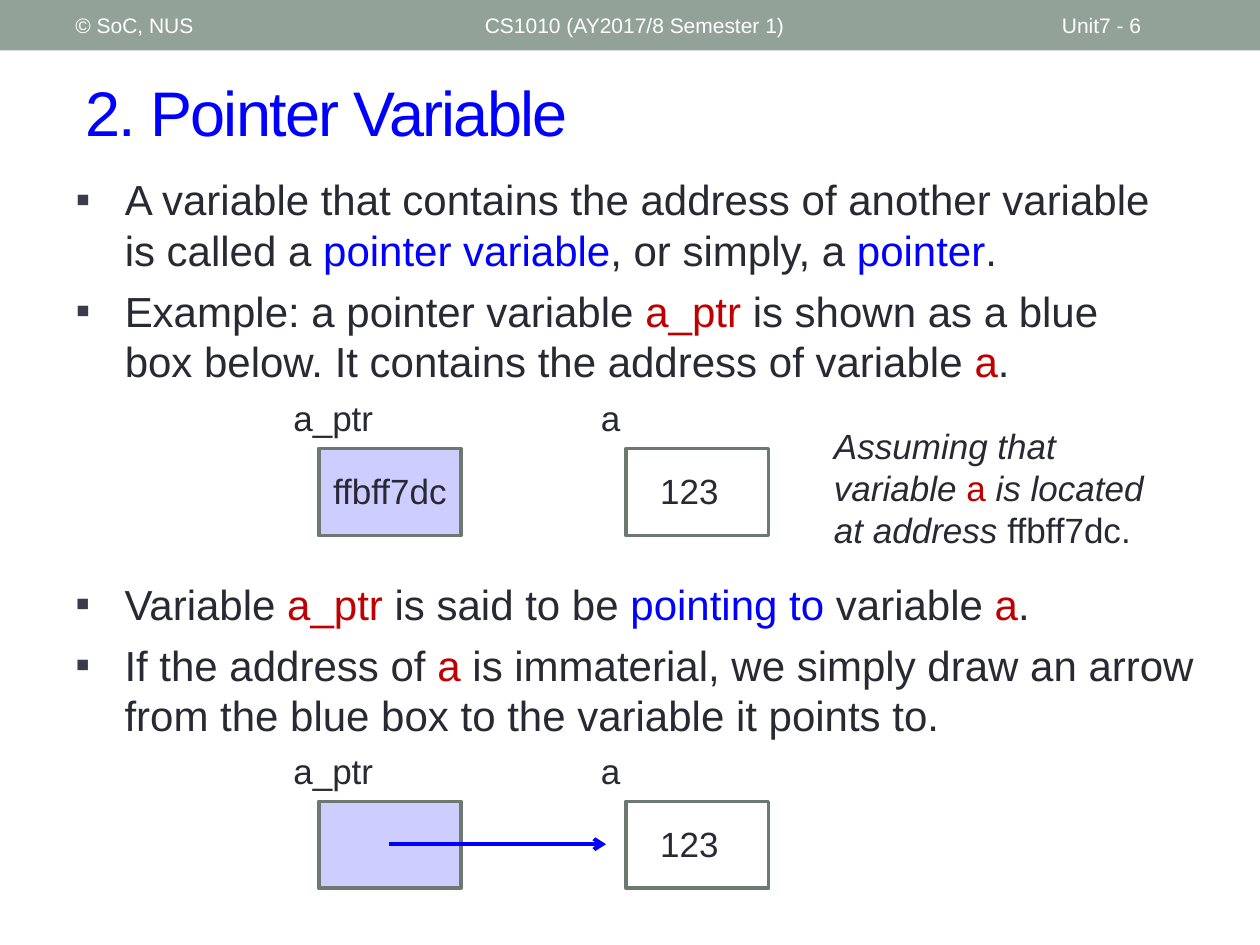
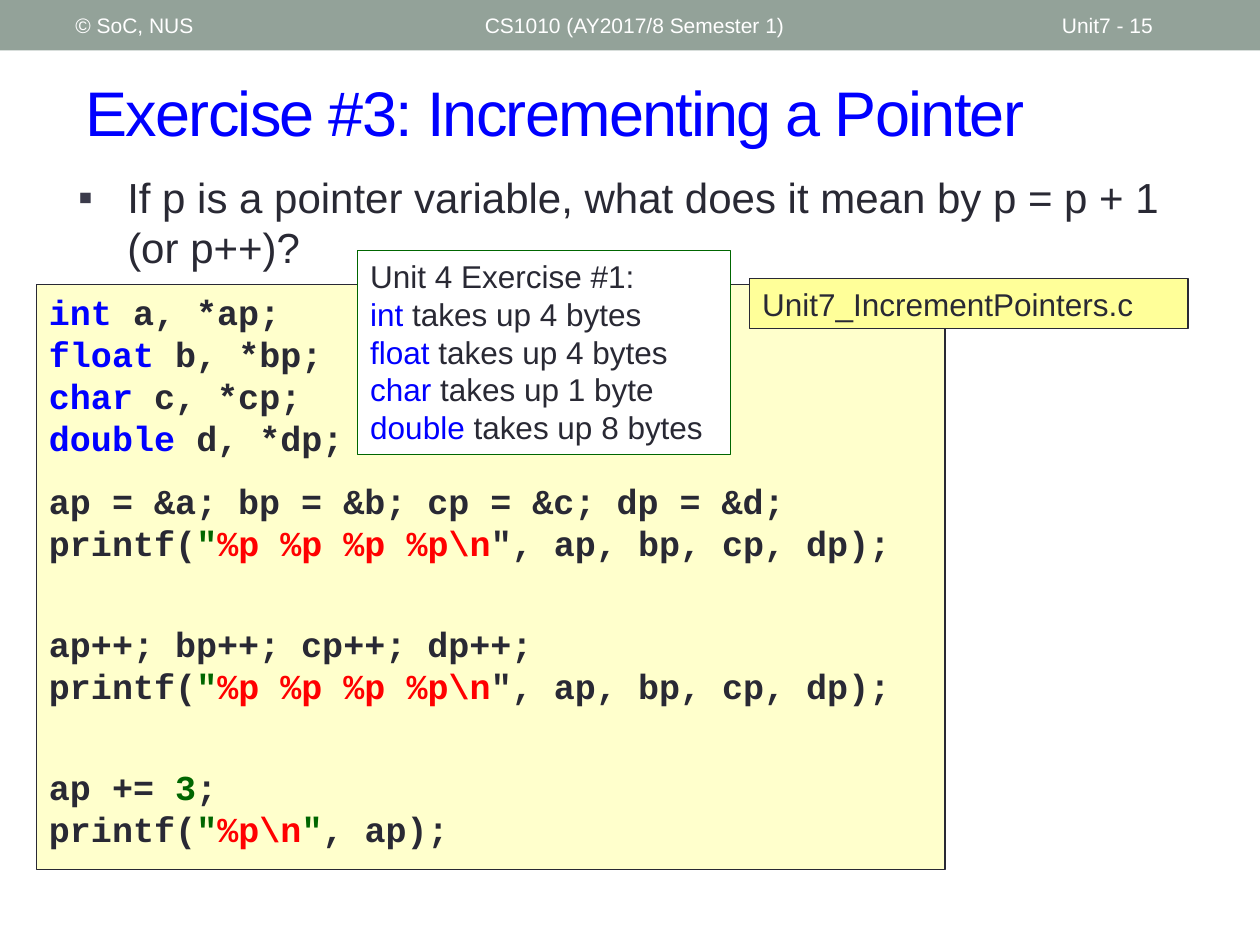
"""Build two lecture slides about pointer variables in C."""
from lxml.etree import SubElement
from pptx import Presentation
from pptx.dml.color import RGBColor
from pptx.enum.shapes import MSO_CONNECTOR, MSO_SHAPE
from pptx.enum.text import MSO_ANCHOR, MSO_AUTO_SIZE, PP_ALIGN
from pptx.oxml.ns import qn
from pptx.util import Inches, Pt

INK, BLUE, RED, WHITE = "292934", "0000FF", "C00000", "FFFFFF"
GREEN, SCARLET, SAGE, SLATE = "006600", "FF0000", "93A299", "6D7871"
hue = RGBColor.from_string


def write(shape, paras, size=20, color=INK, font="Arial", bold=False, italic=False,
          align=PP_ALIGN.LEFT, anchor=MSO_ANCHOR.TOP, bullet=False, gaps={}, track=0):
    """Fill a shape with paragraphs of plain pieces or (words, colour) pieces."""
    frame = shape.text_frame
    frame.word_wrap = True
    frame.auto_size = MSO_AUTO_SIZE.NONE
    frame.vertical_anchor = anchor
    for i, pieces in enumerate(paras):
        para = frame.add_paragraph() if i else frame.paragraphs[0]
        para.alignment = align
        para.space_before = Pt(gaps.get(i, 0))
        if bullet:
            props = para._p.get_or_add_pPr()
            props.set("marL", str(Inches(0.39)))
            props.set("indent", str(-Inches(0.39)))
            SubElement(SubElement(props, qn("a:buClr")), qn("a:srgbClr")).set("val", "3B3B4B")
            SubElement(props, qn("a:buFont")).set("typeface", "Arial")
            SubElement(props, qn("a:buChar")).set("char", "▪")
        for piece in pieces:
            plain = isinstance(piece, str)
            words, shade = (piece, color) if plain else piece
            run = para.add_run()
            run.text = words
            run.font.name, run.font.size = font, Pt(size)
            run.font.bold, run.font.italic = bold, italic and plain
            run.font.color.rgb = hue(shade)
            if track:
                run._r.get_or_add_rPr().set("spc", str(track * 100))


def box(shapes, at, fill=None, line=None, width=0.75):
    """Add a rectangle without shadow."""
    rect = shapes.add_shape(MSO_SHAPE.RECTANGLE, *map(Inches, at))
    rect.shadow.inherit = False
    if fill:
        rect.fill.solid()
        rect.fill.fore_color.rgb = hue(fill)
    else:
        rect.fill.background()
    if line:
        rect.line.color.rgb = hue(line)
        rect.line.width = Pt(width)
    else:
        rect.line.fill.background()
    return rect


deck = Presentation()
deck.slide_width, deck.slide_height = Inches(10), Inches(7.5)
layout = deck.slide_layouts[1]

pages = [
    ("2. Pointer Variable", "6", (0.5, 1.33, 8.76, 2.16), [
        ["A variable that contains the address of another variable is called a ",
         ("pointer variable", BLUE), ", or simply, a ", ("pointer", BLUE), "."],
        ["Example: a pointer variable ", ("a_ptr", RED),
         " is shown as a blue box below. It contains the address of variable ", ("a", RED), "."]]),
    ("Exercise #3: Incrementing a Pointer", "15", (0.52, 1.31, 8.91, 0.86), [
        ["If p is a pointer variable, what does it mean by p = p + 1 (or p++)?"]]),
]
slides = []
for name, page, at, points in pages:
    slide = deck.slides.add_slide(layout)
    slides.append(slide)
    title, body = slide.placeholders
    for part, spot in ((title, (0.58, 0.42, 9.17, 0.92)), (body, at)):
        part.left, part.top, part.width, part.height = map(Inches, spot)
    write(title, [[name]], size=36, color=BLUE, anchor=MSO_ANCHOR.MIDDLE, track=-1)
    write(body, points, size=24, bullet=True, gaps={1: 6})
    for left, width, label in ((0.5, 3.17, "© SoC, NUS"),
                               (3.75, 4.5, "CS1010 (AY2017/8 Semester 1)"),
                               (8.33, 1.17, "Unit7 - " + page)):
        foot = slide.shapes.add_textbox(*map(Inches, (left, 0.02, width, 0.36)))
        write(foot, [[label]], size=12, color=WHITE, anchor=MSO_ANCHOR.MIDDLE)

first, second = slides
band = box(first.shapes, (0, 0, 10, 0.4), SAGE)
layout.shapes.element.insert(2, band.element)

more = first.shapes.add_textbox(*map(Inches, (0.5, 4.54, 9.11, 1.41)))
write(more, [
    ["Variable ", ("a_ptr", RED), " is said to be ", ("pointing to ", BLUE),
     "variable ", ("a", RED), "."],
    ["If the address of ", ("a", RED), " is immaterial, we simply draw an arrow "
     "from the blue box to the variable it points to."],
], size=24, bullet=True, gaps={1: 6})

for top, address in ((3.1, "ffbff7dc"), (5.9, None)):
    group = first.shapes.add_group_shape().shapes
    box(group, (4.97, top + 0.46, 1.13, 0.69), None, SLATE, 2.08)
    box(group, (2.53, top + 0.46, 1.13, 0.69), "CDCDFF", SLATE, 2.08)
    for left, drop, width, label in ((4.67, 0, 0.56, "a"), (5.14, 0.58, 0.78, "123"),
                                     (2.23, 0, 0.86, "a_ptr")):
        tag = group.add_textbox(*map(Inches, (left, top + drop, width, 0.44)))
        write(tag, [[label]])
    if address:
        tag = group.add_textbox(*map(Inches, (2.53, top + 0.58, 1.13, 0.44)))
        write(tag, [[address]], align=PP_ALIGN.CENTER)
        note = group.add_textbox(*map(Inches, (6.52, top + 0.22, 2.91, 1.11)))
        write(note, [["Assuming that variable ", ("a", RED), " is located at address ",
                      (address + ".", INK)]], italic=True)
    else:
        arrow = group.add_connector(MSO_CONNECTOR.STRAIGHT,
                                    *map(Inches, (3.09, top + 0.8, 4.81, top + 0.8)))
        arrow.line.color.rgb = hue(BLUE)
        arrow.line.width = Pt(2.25)
        SubElement(arrow.line._get_or_add_ln(), qn("a:tailEnd")).set("type", "arrow")
        SubElement(arrow.element.spPr, qn("a:effectLst"))

show = ["printf(", ('"', GREEN), ("%p %p %p %p\\n", SCARLET), '", ap, bp, cp, dp);']
code = box(second.shapes, (0.29, 2.26, 7.21, 4.64), "FFFFCC", INK)
write(code, [
    [("int ", BLUE), "a, *ap;"],
    [("float ", BLUE), "b, *bp;"],
    [("char ", BLUE), "c, *cp;"],
    [("double ", BLUE), "d, *dp;"],
    ["ap = &a; bp = &b; cp = &c; dp = &d;"],
    show,
    ["ap++; bp++; cp++; dp++;"],
    show,
    ["ap += ", ("3", GREEN), ";"],
    ["printf(", ('"', GREEN), ("%p\\n", SCARLET), ('"', GREEN), ", ap);"],
], font="Courier New", bold=True, gaps={4: 12, 6: 33.6, 8: 33.6})

file = box(second.shapes, (5.95, 2.21, 3.48, 0.4), "FFFF99", INK)
write(file, [["Unit7_IncrementPointers.c"]], size=18)

sizes = box(second.shapes, (2.84, 1.99, 2.96, 1.62), WHITE, GREEN)
write(sizes, [["Unit 4 Exercise #1:"]] + [
    [(kind, BLUE), f" takes up {count}"] for kind, count in (
        ("int", "4 bytes"), ("float", "4 bytes"), ("char", "1 byte"), ("double", "8 bytes"))],
    size=18)

deck.save("out.pptx")
